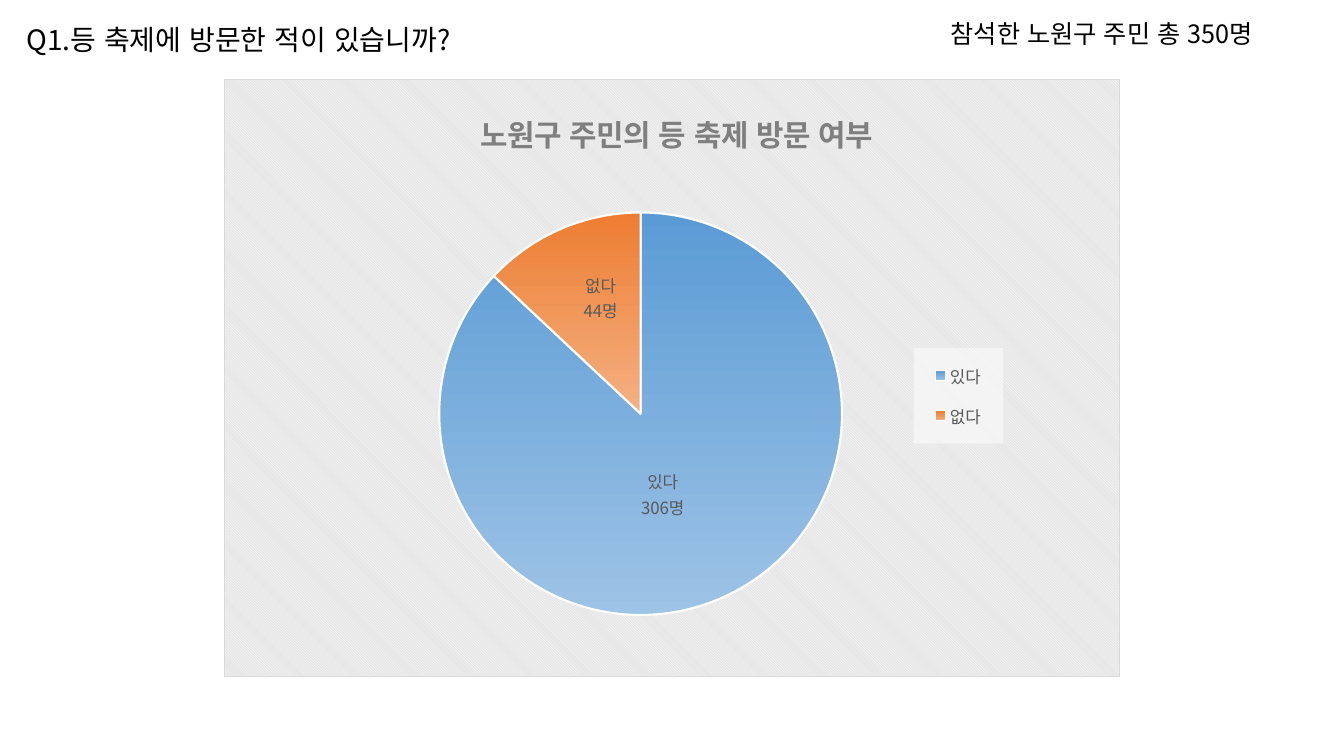
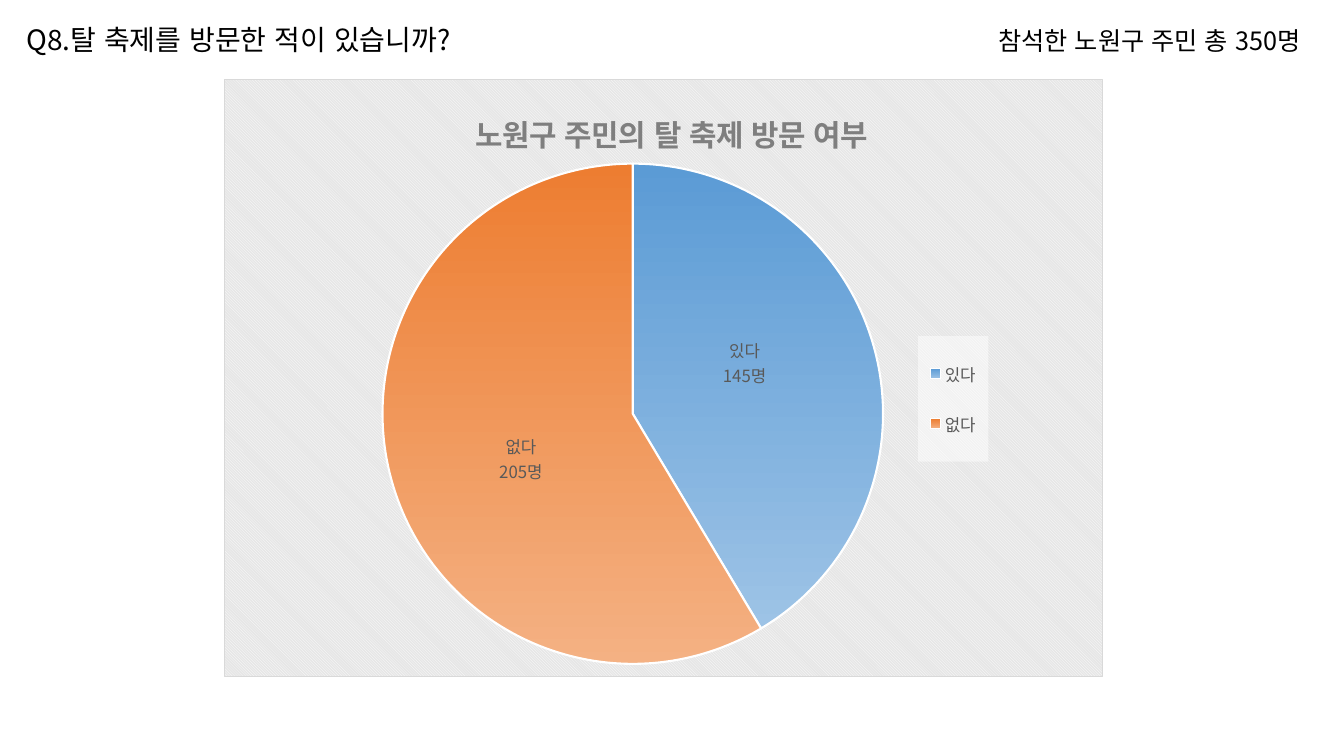
from dataclasses import dataclass
from lxml.etree import SubElement
from pptx import Presentation
from pptx.chart.data import CategoryChartData as Data
from pptx.dml.color import RGBColor as Color
from pptx.enum.chart import XL_CHART_TYPE as Kind, XL_LABEL_POSITION as Spot, XL_LEGEND_POSITION as Side
from pptx.enum.lang import MSO_LANGUAGE_ID as Lang
from pptx.oxml import parse_xml
from pptx.oxml.ns import nsdecls, qn
from pptx.util import Pt


@dataclass(frozen=True)
class Theme:
    """Colours, font and type sizes of the deck."""
    face: str = "Noto Sans CJK KR"
    ink: str = "000000"
    gray: str = "595959"
    head: str = "7F7F7F"
    white: str = "FFFFFF"
    panel: str = "E6E6E6"
    edge: str = "D9D9D9"
    fades: tuple = (("5B9BD5", "9DC3E6"), ("ED7D31", "F4B183"))
    ask: float = 20
    count: float = 18
    title: float = 21.3
    label: float = 12
    base: float = 10


THEME = Theme()
NAMES = ("있다", "없다")
TOTAL = "참석한 노원구 주민 총 350명"
SLIDES = (
    dict(ask="Q1.등 축제에 방문한 적이 있습니까?", title="노원구 주민의 등 축제 방문 여부",
         note=(672, 9.5), box=(160, 56.5, 640, 427), vals=(87, 13), heads=(306, 44),
         pie=(0.24, 0.22, 0.45, 0.68), key=(0.77, 0.45, 0.1, 0.16),
         moves=((-0.02, -0.02), (0, -0.04)), full=False),
    dict(ask="Q8.탈 축제를 방문한 적이 있습니까?", title="노원구 주민의 탈 축제 방문 여부",
         note=(706, 14.5), box=(160, 56.5, 628, 427), vals=(145, 205), heads=(145, 205),
         pie=(0.18, 0.14, 0.57, 0.84), key=(0.79, 0.43, 0.08, 0.21),
         moves=((-0.01, -0.03), (0.01, 0.02)), full=True),
)


def style(font, size, color, bold=False):
    """Set the size, colour, weight, language and both typefaces of a font."""
    font.size, font.bold, font.name = Pt(size), bold, THEME.face
    font.language_id = Lang.KOREAN
    font.color.rgb = Color.from_string(color)
    SubElement(font._rPr, qn("a:ea")).set("typeface", THEME.face)


def style_runs(frame, size, color, bold=False):
    """Style every run in a text frame."""
    for para in frame.paragraphs:
        for run in para.runs:
            style(run.font, size, color, bold)


def add_text(slide, text, box, size):
    """Place one line of text in a box."""
    frame = slide.shapes.add_textbox(*map(Pt, box)).text_frame
    frame.word_wrap = False
    frame.text = text
    style_runs(frame, size, THEME.ink)


def layout(names, vals, edge=True, inner=False):
    """Build a manual chart layout from fractions of the chart."""
    parts = '<c:layoutTarget val="inner"/>' if inner else ""
    if edge:
        parts += '<c:xMode val="edge"/><c:yMode val="edge"/>'
    parts += "".join(f'<c:{name} val="{val}"/>' for name, val in zip(names, vals))
    return parse_xml(f'<c:layout {nsdecls("c")}><c:manualLayout>{parts}</c:manualLayout></c:layout>')


def clear(node):
    """Drop the automatic layout of a chart part."""
    for old in node.findall(qn("c:layout")):
        node.remove(old)


def look(body):
    """Build chart shape properties around a fill and line."""
    return parse_xml(f'<c:spPr {nsdecls("c", "a")}>{body}</c:spPr>')


def tint(color, inner=""):
    """Write a colour."""
    return f'<a:srgbClr val="{color}">{inner}</a:srgbClr>'


def add_title(chart, text):
    """Write the chart title near the top edge."""
    chart.has_title = True
    title = chart.chart_title
    title.text_frame.text = text
    style_runs(title.text_frame, THEME.title, THEME.head, True)
    node = title._element
    clear(node)
    node.find(qn("c:tx")).addnext(layout("xy", (0.28, 0.04)))


def add_legend(chart, box):
    """Place the legend on a pale panel."""
    chart.has_legend = True
    legend = chart.legend
    legend.position, legend.include_in_layout = Side.RIGHT, False
    style(legend.font, THEME.label, THEME.gray)
    node = legend._element
    clear(node)
    node.find(qn("c:legendPos")).addnext(layout("xywh", box))
    fill = tint(THEME.white, '<a:alpha val="50000"/>')
    node.find(qn("c:overlay")).addnext(look(f"<a:solidFill>{fill}</a:solidFill>"))


def add_slice(point, fade, text, move, full):
    """Fill one slice and write its label."""
    fill, line = point.format.fill, point.format.line
    fill.gradient()
    fill.gradient_angle = 270
    for stop, color in zip(fill.gradient_stops, fade):
        stop.color.rgb = Color.from_string(color)
    line.color.rgb, line.width = Color.from_string(THEME.white), Pt(1.5)
    label = point.data_label
    label.text_frame.text = text
    style_runs(label.text_frame, THEME.label, THEME.gray)
    label.position = Spot.CENTER
    node = label._dLbl
    node.find(qn("c:idx")).addnext(layout("xy", move, edge=False))
    node.find(qn("c:showCatName")).set("val", str(int(full)))


def add_pie(slide, page):
    """Place the pie chart with its title, labels and legend."""
    data = Data()
    data.categories = NAMES
    data.add_series("Series 1", page["vals"])
    chart = slide.shapes.add_chart(Kind.PIE, *map(Pt, page["box"]), data).chart
    style(chart.font, THEME.base, THEME.ink)
    add_title(chart, page["title"])
    plot = chart.plots[0]
    plot.vary_by_categories = True
    ring = plot.series[0]
    if page["full"]:
        labels = ring.data_labels
        labels.show_value = labels.show_category_name = True
        labels.position = Spot.CENTER
        style(labels.font, THEME.label, THEME.gray)
    for i, fade in enumerate(THEME.fades):
        text = f"{NAMES[i]}\n{page['heads'][i]}명"
        add_slice(ring.points[i], fade, text, page["moves"][i], page["full"])
    add_legend(chart, page["key"])
    root = chart._chartSpace.find(qn("c:chart"))
    area = root.find(qn("c:plotArea"))
    clear(area)
    area.insert(0, layout("xywh", page["pie"], inner=True))
    root.addnext(look(
        f'<a:pattFill prst="dkDnDiag"><a:fgClr>{tint(THEME.white)}</a:fgClr>'
        f'<a:bgClr>{tint(THEME.panel)}</a:bgClr></a:pattFill>'
        f'<a:ln w="{Pt(0.75)}"><a:solidFill>{tint(THEME.edge)}</a:solidFill></a:ln>'))


def add_page(deck, page):
    """Add one survey question slide."""
    slide = deck.slides.add_slide(deck.slide_layouts[6])
    add_pie(slide, page)
    add_text(slide, page["ask"], (11.75, 12.5, 346, 31.5), THEME.ask)
    add_text(slide, TOTAL, (*page["note"], 252, 29), THEME.count)


def main():
    """Build and save the deck."""
    deck = Presentation()
    deck.slide_width, deck.slide_height = Pt(960), Pt(540)
    for page in SLIDES:
        add_page(deck, page)
    deck.save("out.pptx")


main()
